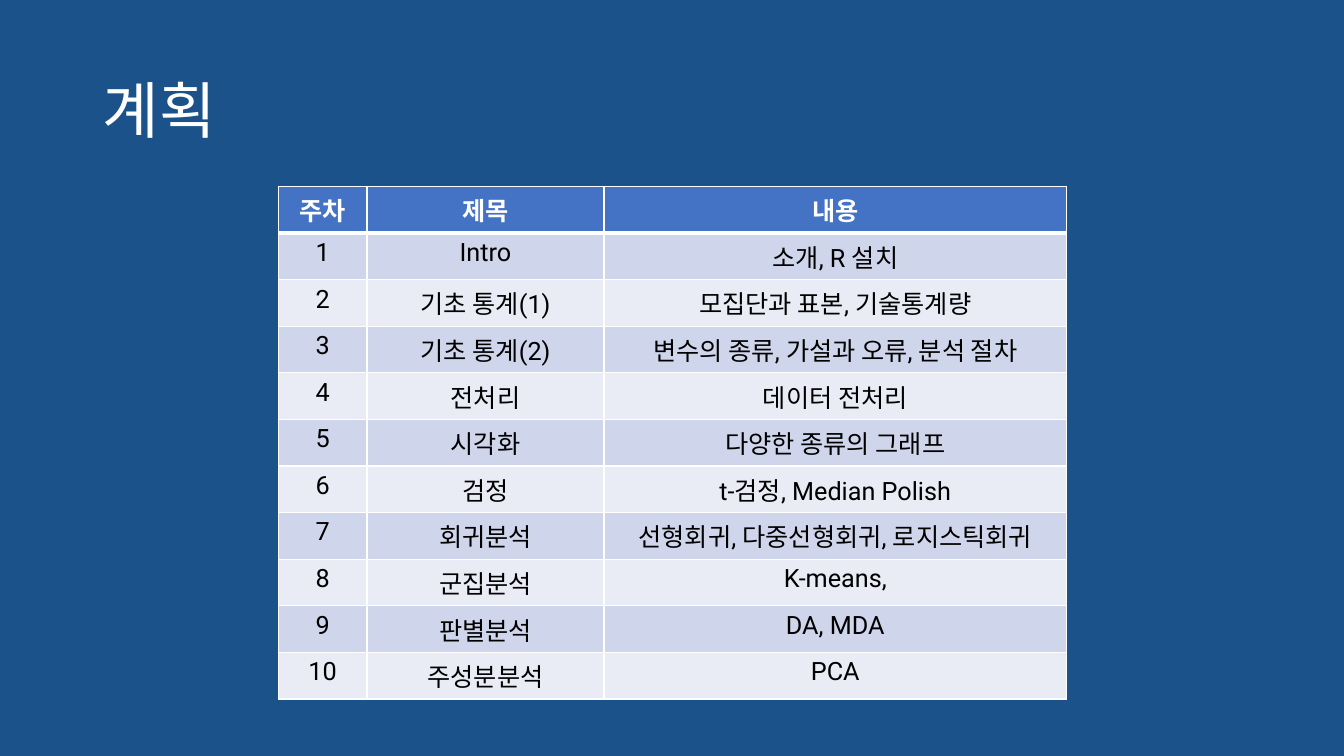
from lxml import etree
from pptx import Presentation
from pptx import util as u
from pptx.dml.color import RGBColor
from pptx.enum import text
from pptx.oxml import ns

PX = 9144  # EMU per px, 100 px to the inch
NAVY = RGBColor(0x1A, 0x52, 0x89)
BLUE = RGBColor(0x44, 0x72, 0xC4)
BANDS = RGBColor(0xCF, 0xD5, 0xEA), RGBColor(0xE9, 0xEB, 0xF5)
WHITE = RGBColor(0xFF, 0xFF, 0xFF)
BLACK = RGBColor(0, 0, 0)

HEAD = "주차", "제목", "내용"
WEEKS = [
    ("Intro", "소개, R 설치"),
    ("기초 통계(1)", "모집단과 표본, 기술통계량"),
    ("기초 통계(2)", "변수의 종류, 가설과 오류, 분석 절차"),
    ("전처리", "데이터 전처리"),
    ("시각화", "다양한 종류의 그래프"),
    ("검정", "t-검정, Median Polish"),
    ("회귀분석", "선형회귀, 다중선형회귀, 로지스틱회귀"),
    ("군집분석", "K-means,"),
    ("판별분석", "DA, MDA"),
    ("주성분분석", "PCA"),
]


class Deck:
    def __init__(self, width, height):
        self.prs = Presentation()
        self.prs.slide_width = width * PX
        self.prs.slide_height = height * PX

    def page(self, color):
        self.slide = self.prs.slides.add_slide(self.prs.slide_layouts[5])
        fill = self.slide.background.fill
        fill.solid()
        fill.fore_color.rgb = color

    def style(self, para, face, size, color, bold=False):
        font = para.font
        font.name, font.size, font.bold = face, u.Pt(size), bold
        font.color.rgb = color

    def title(self, words, left, top, width, height):
        shape = self.slide.shapes.title
        shape.left, shape.top = left * PX, top * PX
        shape.width, shape.height = width * PX, height * PX
        frame = shape.text_frame
        frame.text = words
        frame.vertical_anchor = text.MSO_ANCHOR.MIDDLE
        para = frame.paragraphs[0]
        para.alignment = text.PP_ALIGN.LEFT
        para.line_spacing = 0.9
        self.style(para, "Arial", 44, WHITE)

    def edge(self, cell, side, points):
        props = cell._tc.get_or_add_tcPr()
        line = etree.SubElement(props, ns.qn("a:ln" + side), w=str(u.Pt(points)))
        fill = etree.SubElement(line, ns.qn("a:solidFill"))
        etree.SubElement(fill, ns.qn("a:srgbClr"), val=str(WHITE))

    def cell(self, cell, words, row):
        # Borders come before the fill; the rule under the header is thick
        for side in "LRTB":
            thick = (row, side) in ((0, "B"), (1, "T"))
            self.edge(cell, side, 3 if thick else 1)
        cell.fill.solid()
        cell.fill.fore_color.rgb = BANDS[(row - 1) % 2] if row else BLUE
        cell.text = words
        para = cell.text_frame.paragraphs[0]
        para.alignment = text.PP_ALIGN.CENTER
        self.style(para, "Roboto", 18, BLACK if row else WHITE, not row)

    def table(self, rows, left, top, widths, height):
        grid = self.slide.shapes.add_table(
            len(rows), len(widths), left * PX, top * PX,
            sum(widths) * PX, len(rows) * height * PX).table
        for col, width in zip(grid.columns, widths):
            col.width = width * PX
        for r, row in enumerate(rows):
            for c, words in enumerate(row):
                self.cell(grid.cell(r, c), words, r)


def main():
    deck = Deck(1333, 750)
    deck.page(NAVY)

    # Heading
    deck.title("계획", 92, 40, 1150, 145)

    # Weekly plan
    rows = [HEAD] + [(str(n), *week) for n, week in enumerate(WEEKS, 1)]
    deck.table(rows, 276, 185, (88, 235, 459), 41)

    deck.prs.save("out.pptx")


if __name__ == "__main__":
    main()
